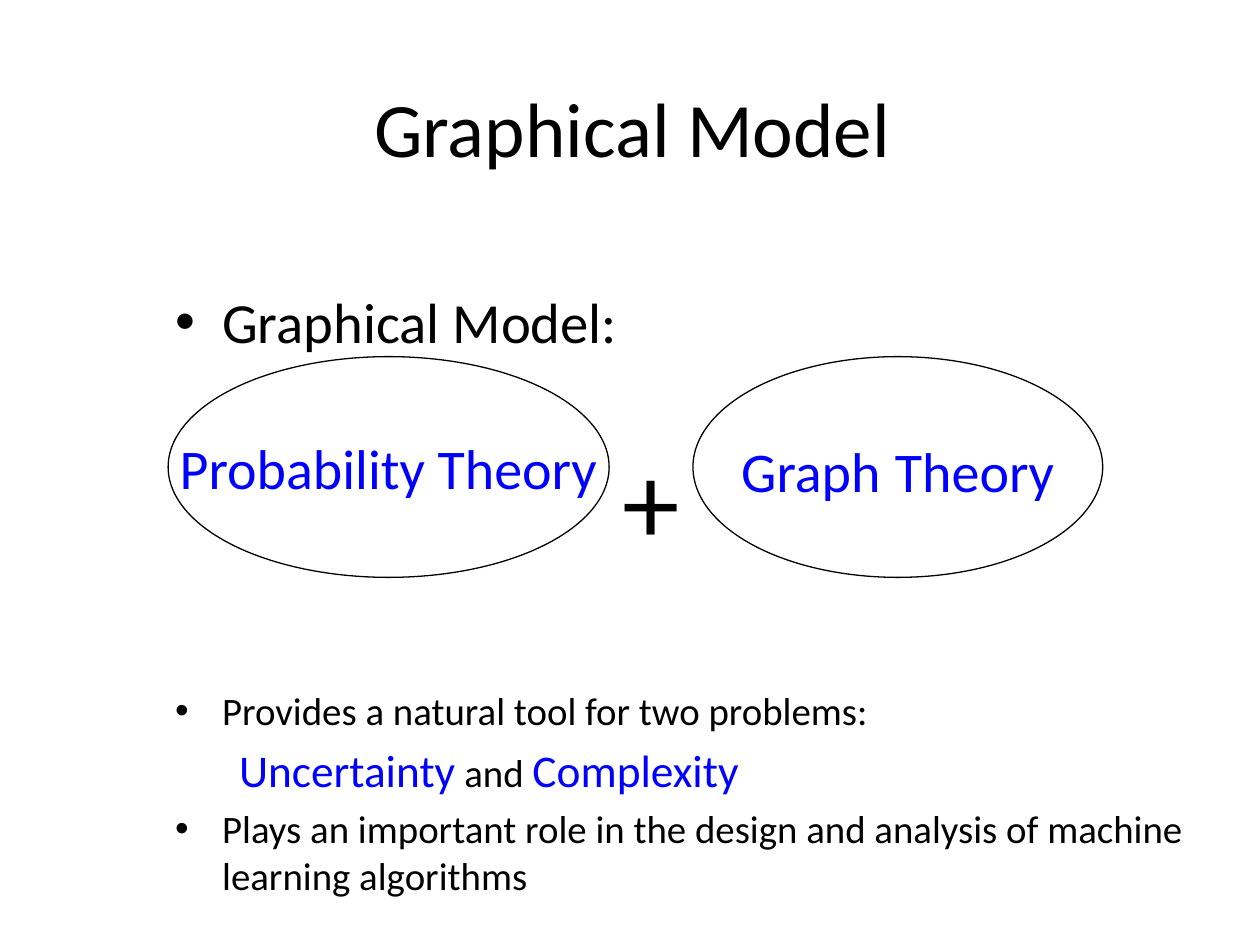
from lxml import etree
from pptx import Presentation
from pptx.dml.color import RGBColor
from pptx.enum.shapes import MSO_SHAPE
from pptx.enum.text import MSO_ANCHOR, PP_ALIGN
from pptx.oxml.ns import qn
from pptx.util import Cm, Pt

OVAL = MSO_SHAPE.OVAL
MIDDLE, TOP = MSO_ANCHOR.MIDDLE, MSO_ANCHOR.TOP
CENTER, LEFT = PP_ALIGN.CENTER, PP_ALIGN.LEFT
BLACK = RGBColor(0, 0, 0)
BLUE = RGBColor(0, 0, 255)
FONT = "Calibri"
HANG = 0.95   # bullet indent, cm
DEEP = 1.29   # indent of the line without bullet, cm

# Content: a run is (text, size, colour)
TITLE = [("Graphical Model", 44, BLACK)]
HEAD = [("Graphical Model:", 32.4, BLACK)]
PLUS = [("+", 65.7, BLACK)]
POINTS = [  # bullet, space before, runs
    (True, 0, [("Provides a natural tool for two problems:", 22.2, BLACK)]),
    (False, 5.2, [("Uncertainty", 25.9, BLUE), (" and ", 22.2, BLACK),
                  ("Complexity", 25.9, BLUE)]),
    (True, 4.4, [("Plays an important role in the design and analysis of "
                  "machine learning algorithms", 22.2, BLACK)]),
]
OVALS = [  # left, width, runs
    (3.39, 8.89, [("Probability Theory", 32, BLUE)]),
    (13.97, 8.26, [("Graph", 32, BLUE), (" ", 36, BLUE),
                   ("Theory", 32, BLUE)]),
]

deck = Presentation()
deck.slide_width, deck.slide_height = Cm(25.4), Cm(19.05)
slide = deck.slides.add_slide(deck.slide_layouts[6])


def add_runs(para, runs, align):
    para.alignment = align
    for text, size, color in runs:
        run = para.add_run()
        run.text = text
        run.font.name = FONT
        run.font.size = Pt(size)
        run.font.color.rgb = color


def add_box(left, top, width, height, anchor=TOP):
    frame = slide.shapes.add_textbox(
        Cm(left), Cm(top), Cm(width), Cm(height)).text_frame
    frame.word_wrap = True
    frame.vertical_anchor = anchor
    return frame


def set_indent(para, bullet):
    props = para._p.get_or_add_pPr()
    props.set("marL", str(Cm(HANG if bullet else DEEP)))
    props.set("indent", str(-Cm(HANG) if bullet else 0))
    if bullet:
        etree.SubElement(props, qn("a:buFont")).set("typeface", "Arial")
        etree.SubElement(props, qn("a:buChar")).set("char", "•")
    else:
        etree.SubElement(props, qn("a:buNone"))


def add_list(frame, items):
    for i, (bullet, space, runs) in enumerate(items):
        para = frame.add_paragraph() if i else frame.paragraphs[0]
        set_indent(para, bullet)
        para.space_before = Pt(space)
        add_runs(para, runs, LEFT)


# Title
add_runs(add_box(1.93, 0.53, 21.64, 4.06, MIDDLE).paragraphs[0], TITLE, CENTER)

# Heading and points
add_list(add_box(3.28, 5.66, 20.85, 1.6), [(True, 0, HEAD)])
add_list(add_box(3.28, 13.72, 20.85, 4.4), POINTS)

# Two theories with a plus between them
for left, width, runs in OVALS:
    oval = slide.shapes.add_shape(OVAL, Cm(left), Cm(7.19), Cm(width), Cm(4.45))
    oval.shadow.inherit = False
    oval.fill.background()
    oval.line.color.rgb = BLACK
    oval.line.width = Pt(0.75)
    frame = oval.text_frame
    frame.word_wrap = False
    frame.vertical_anchor = MIDDLE
    add_runs(frame.paragraphs[0], runs, CENTER)

add_runs(add_box(12.13, 8.53, 2, 3.1).paragraphs[0], PLUS, CENTER)

deck.save("out.pptx")
